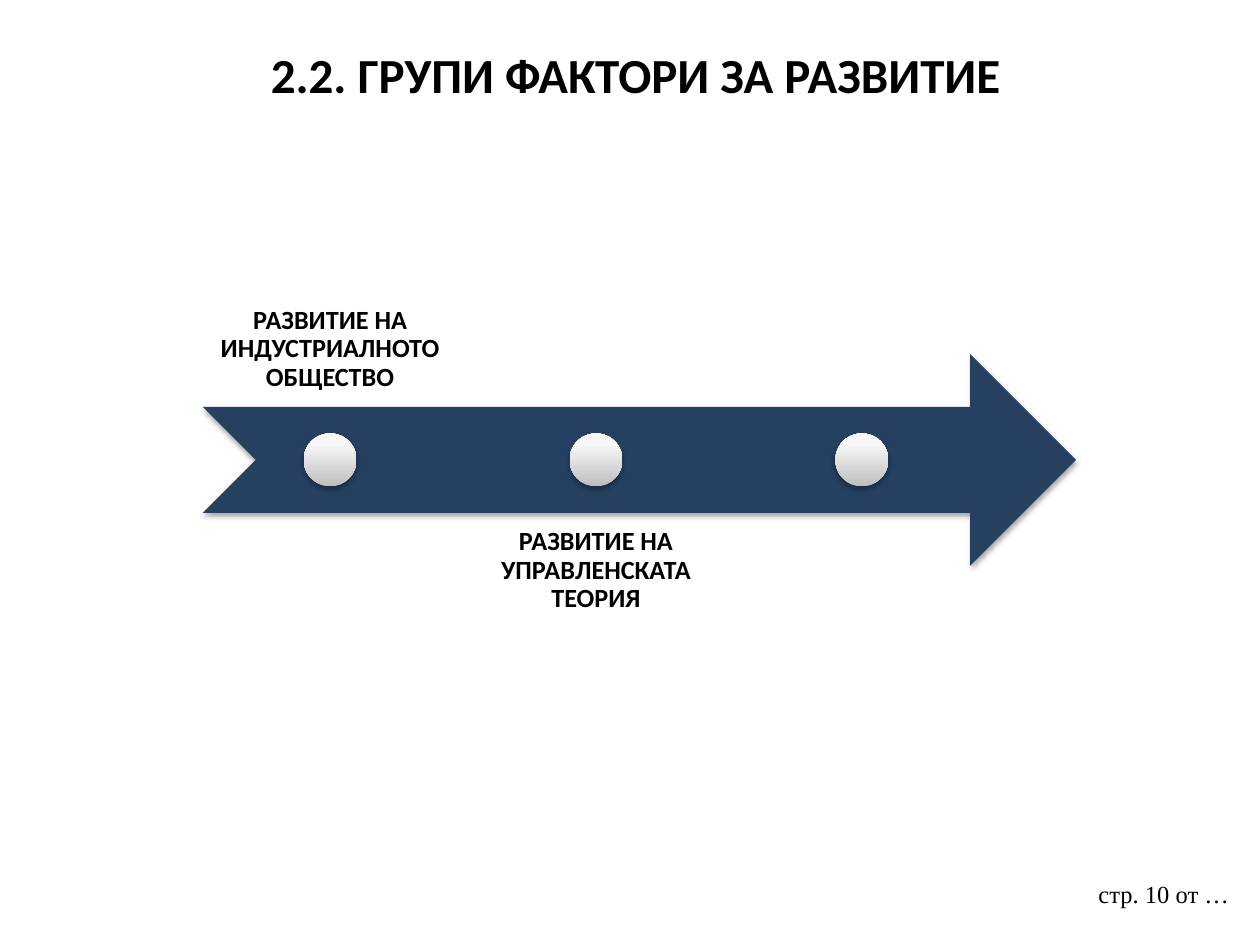
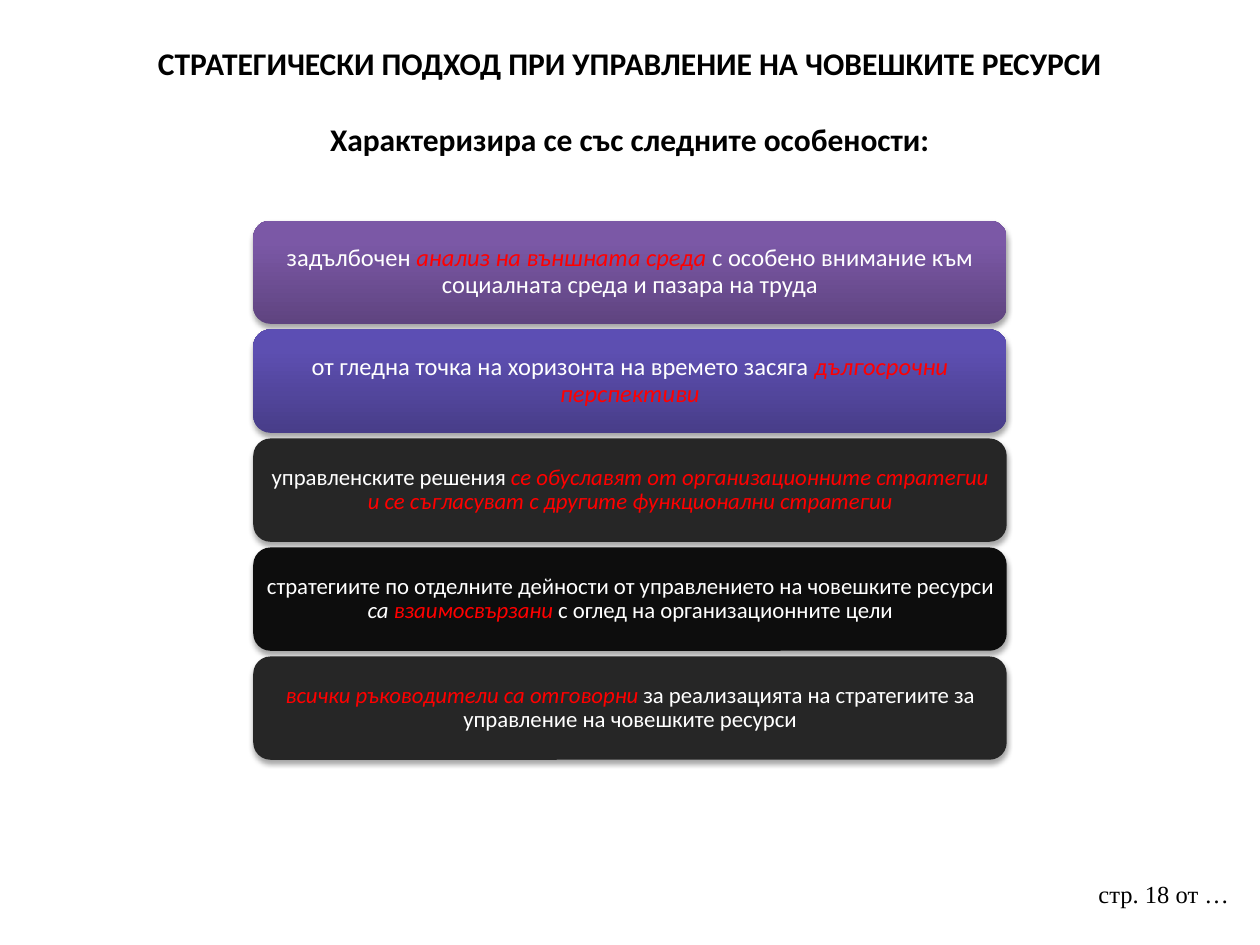
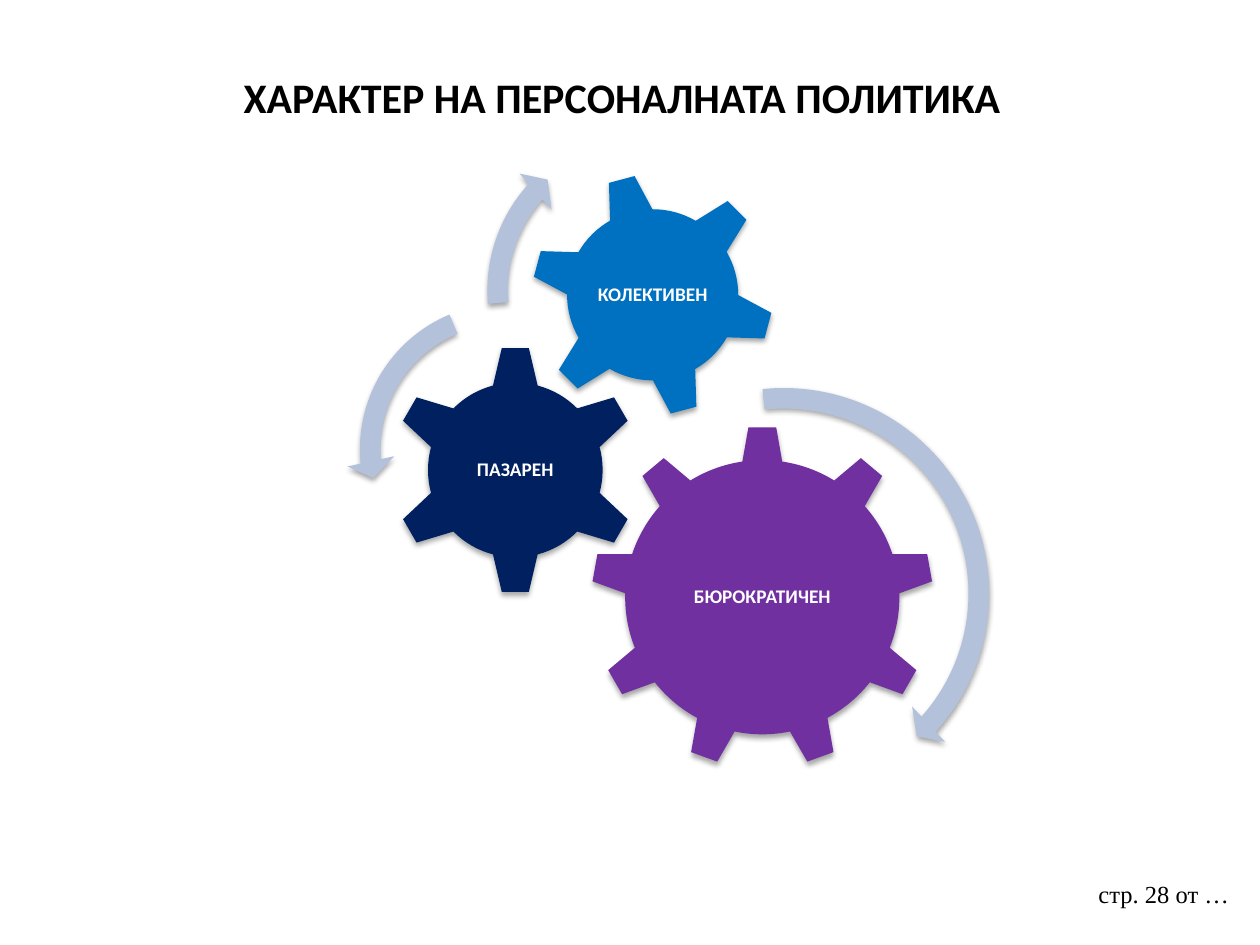
import copy

import lxml.etree
import pptx
import pptx.dml.color
import pptx.enum.shapes
import pptx.enum.text
import pptx.oxml.ns
import pptx.util

SHAPE = pptx.enum.shapes.MSO_SHAPE
ALIGN = pptx.enum.text.PP_ALIGN
ANCHOR = pptx.enum.text.MSO_ANCHOR
Pt = pptx.util.Pt
qn = pptx.oxml.ns.qn

CELL = pptx.util.Inches(0.1)
COLS, ROWS = 100, 75

HUES = {
    "ink": "000000", "paper": "FFFFFF", "red": "FF0000",
    "steel": "254061", "coal": "262626", "jet": "0D0D0D",
    "plum": "7030A0", "navy": "002060", "blue": "0070C0", "mist": "B3C1DB",
}
BLENDS = {
    "pearl": ("BEBEBE", "F7F7F7", "F8F8F8"),
    "violet": ("5F4480", "7B58A6", "7C57A8"),
    "indigo": ("483D89", "5D4FB1", "5C4EB4"),
}
STOPS = (0, 0.8, 1)


def rgb(code):
    return pptx.dml.color.RGBColor.from_string(code)


def span(*cells):
    """Turn grid cells into lengths."""
    return [round(cell * CELL) for cell in cells]


def blend(item, codes):
    """Fill a shape with a three-stop gradient that runs upwards."""
    item.fill.gradient()
    item.fill.gradient_angle = 90
    stops = item._element.spPr.find(".//" + qn("a:gsLst"))
    stops.append(copy.deepcopy(stops[-1]))
    for stop, place, code in zip(item.fill.gradient_stops, STOPS, codes):
        stop.position = place
        stop.color.rgb = rgb(code)


def shade(item):
    """Give a shape a soft shadow straight below it."""
    item.shadow.inherit = False
    glow = lxml.etree.SubElement(
        item._element.spPr.find(qn("a:effectLst")), qn("a:outerShdw"),
        blurRad=str(Pt(3.1)), dist=str(Pt(1.8)), dir="5400000", rotWithShape="0")
    tone = lxml.etree.SubElement(glow, qn("a:srgbClr"), val=HUES["ink"])
    lxml.etree.SubElement(tone, qn("a:alpha"), val="35000")


def form(slide, kind, box, fill):
    item = slide.shapes.add_shape(kind, *span(*box))
    if fill in BLENDS:
        blend(item, BLENDS[fill])
    else:
        item.fill.solid()
        item.fill.fore_color.rgb = rgb(HUES[fill])
    item.line.fill.background()
    shade(item)
    return item


def pad(frame, side, end):
    frame.margin_left = frame.margin_right = span(side)[0]
    frame.margin_top = frame.margin_bottom = span(end)[0]


def style(para, size, hue="ink", face="Calibri", bold=False, align=ALIGN.CENTER):
    para.alignment = align
    font = para.font
    font.size, font.name, font.bold = Pt(size), face, bold
    font.color.rgb = rgb(HUES[hue])


def note(slide, box, text, size, anchor=ANCHOR.TOP, inset=None, **look):
    """Place a text box, with one paragraph for each line of text."""
    frame = slide.shapes.add_textbox(*span(*box)).text_frame
    frame.word_wrap = True
    frame.vertical_anchor = anchor
    if inset is not None:
        pad(frame, inset, inset)
    frame.text = text
    for para in frame.paragraphs:
        style(para, size, **look)
    return frame


def label(slide, box, text, size, hue, anchor, inset):
    frame = note(slide, box, text, size, anchor, inset, hue=hue, bold=True)
    frame.paragraphs[0].line_spacing = 0.9


def start(deck, page, title, size):
    """Add a slide with its page mark and title; return slide and title text."""
    slide = deck.slides.add_slide(deck.slide_layouts[6])
    note(slide, (86.2, 69.3, 13, 5.2), f"стр. {page} от …", 14,
         face="Times New Roman", align=ALIGN.LEFT)
    return slide, note(slide, (5, 3, 90, 12.5), title, size, bold=True)


def factors(deck):
    slide, _ = start(deck, 10, " 2.2. ГРУПИ ФАКТОРИ ЗА РАЗВИТИЕ", 28)
    left, top, wide, high = 16.1, 28.1, 69.3, 16.8
    form(slide, SHAPE.NOTCHED_RIGHT_ARROW, (left, top, wide, high), "steel")
    first, step, dot, room = 26.2, 21.1, high / 4, 20.1
    for num in range(3):
        form(slide, SHAPE.OVAL,
             (first + num * step - dot / 2, top + (high - dot) / 2, dot, dot),
             "pearl")
    labels = (
        ("РАЗВИТИЕ НА ИНДУСТРИАЛНОТО ОБЩЕСТВО", -0.75, ANCHOR.BOTTOM),
        ("РАЗВИТИЕ НА УПРАВЛЕНСКАТА ТЕОРИЯ", 0.75, ANCHOR.TOP),
    )
    for num, (text, shift, anchor) in enumerate(labels):
        label(slide, (first + num * step - room / 2, top + shift * high, room, high),
              text, 15, "ink", anchor, 1.2)


def bar(slide, box, fill, size, parts):
    """Draw a rounded bar; each part is text, hue and whether it slants."""
    item = form(slide, SHAPE.ROUNDED_RECTANGLE, box, fill)
    frame = item.text_frame
    frame.word_wrap = True
    frame.vertical_anchor = ANCHOR.MIDDLE
    pad(frame, 0.5, 0.3)
    para = frame.paragraphs[0]
    style(para, size, "paper")
    para.line_spacing = 0.9
    for text, hue, slant in parts:
        run = para.add_run()
        run.text = text
        run.font.color.rgb = rgb(HUES[hue])
        run.font.italic = slant


def traits(deck):
    slide, title = start(
        deck, 18,
        "СТРАТЕГИЧЕСКИ ПОДХОД ПРИ УПРАВЛЕНИЕ НА ЧОВЕШКИТЕ РЕСУРСИ\n"
        "Характеризира се със следните особености:", 18)
    title.paragraphs[1].space_before = Pt(22)
    bars = (
        ("violet", 14, (
            ("задълбочен ", "paper", False),
            ("анализ на външната среда ", "red", True),
            ("с особено внимание към социалната среда и пазара на труда",
             "paper", False))),
        ("indigo", 14, (
            ("от гледна точка на хоризонта на времето засяга ", "paper", False),
            ("дългосрочни перспективи", "red", True))),
        ("coal", 13, (
            ("управленските решения ", "paper", False),
            ("се обуславят от организационните стратегии и се съгласуват "
             "с другите функционални стратегии", "red", True))),
        ("jet", 13, (
            ("стратегиите по отделните дейности от управлението на човешките "
             "ресурси ", "paper", False),
            ("са ", "paper", True),
            ("взаимосвързани", "red", True),
            (" с оглед на организационните цели", "paper", False))),
        ("coal", 13, (
            ("всички ръководители са отговорни ", "red", True),
            ("за реализацията на стратегиите за управление на човешките ресурси",
             "paper", False))),
    )
    for num, (fill, size, parts) in enumerate(bars):
        bar(slide, (20.1, 17.5 + num * 8.65, 59.8, 8.2), fill, size, parts)


def gear(slide, kind, left, top, size, fill, text, turn=0):
    item = form(slide, kind, (left, top, size, size), fill)
    item.rotation = turn
    room = 0.56 * size
    gap = (size - room) / 2
    label(slide, (left + gap, top + gap, room, room), text, 11, "paper",
          ANCHOR.MIDDLE, 0.2)


def sweep(slide, kind, left, top, size, band, tip, angles):
    """Draw a curved arrow; band and tip are percents, angles are degrees."""
    item = form(slide, kind, (left, top, size, size), "mist")
    head, end, begin = (angle * 0.6 for angle in angles)
    for num, value in enumerate((band / 100, head, end, begin, tip / 100)):
        item.adjustments[num] = value


def policy(deck):
    slide, title = start(deck, 28, "ХАРАКТЕР НА ПЕРСОНАЛНАТА ПОЛИТИКА", 24)
    tail = title.paragraphs[0].add_run()
    tail.text = " "
    tail.font.size = Pt(40)
    gear(slide, SHAPE.GEAR_9, 46.9, 33.8, 27.2, "plum", "БЮРОКРАТИЧЕН")
    gear(slide, SHAPE.GEAR_6, 31, 27.4, 19.8, "navy", "ПАЗАРЕН")
    gear(slide, SHAPE.GEAR_6, 42.1, 13.7, 19.4, "blue", "КОЛЕКТИВЕН", 345)
    sweep(slide, SHAPE.CIRCULAR_ARROW, 44.8, 29.7, 34.8, 4.7, 5.5,
          (4.98, 42.06, 264.09))
    sweep(slide, SHAPE.LEFT_CIRCULAR_ARROW, 27.5, 23, 25.3, 6.5, 7.5,
          (7.17, 174.82, 247.3))
    sweep(slide, SHAPE.CIRCULAR_ARROW, 37.6, 9.4, 27.3, 6, 7,
          (6.57, 221.9, 175.14))


def main():
    deck = pptx.Presentation()
    deck.slide_width, deck.slide_height = span(COLS, ROWS)
    factors(deck)
    traits(deck)
    policy(deck)
    deck.save("out.pptx")


if __name__ == "__main__":
    main()
